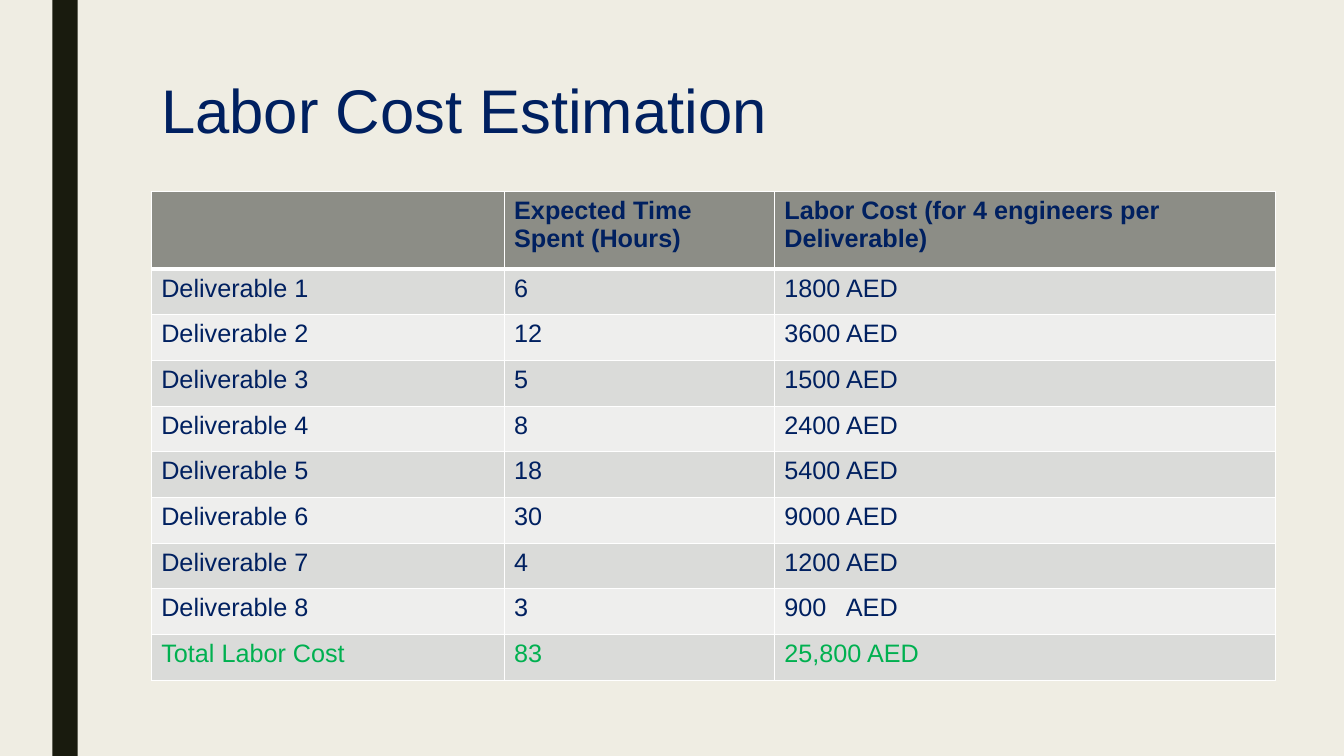
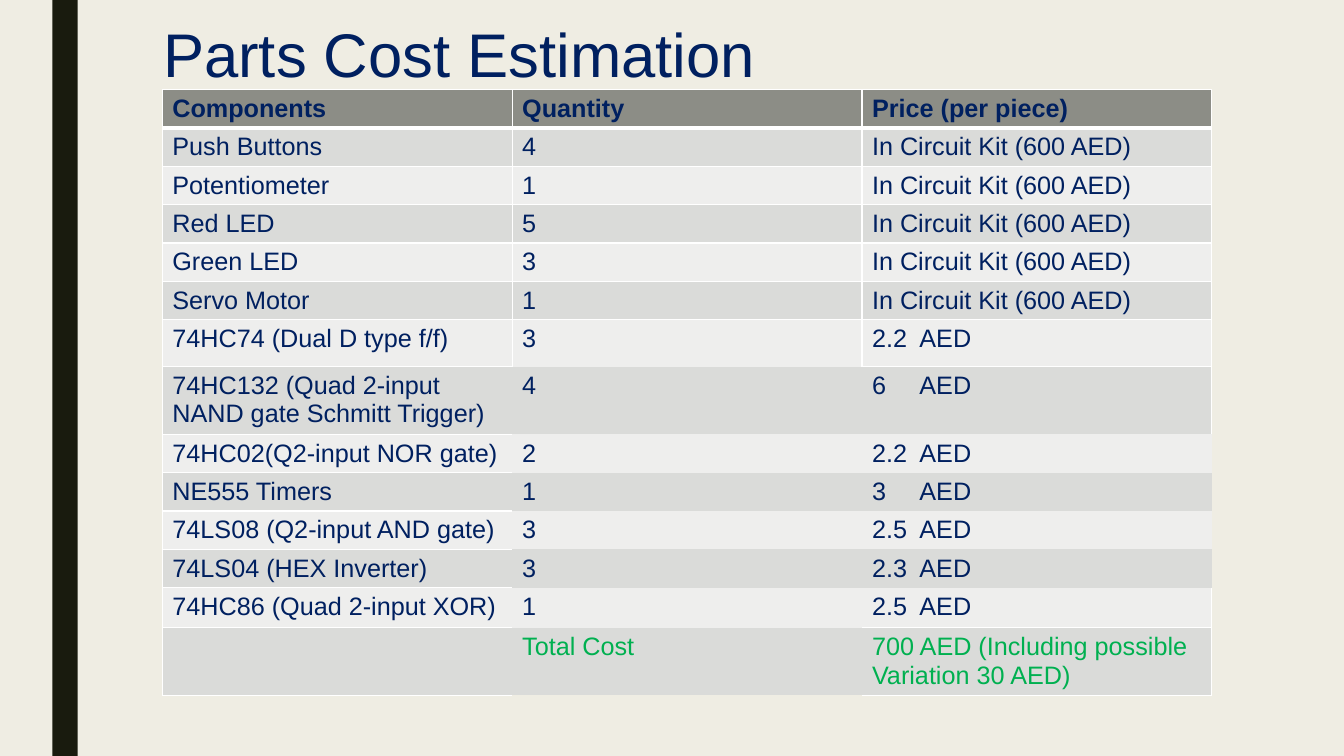
"""Build two cost estimation slides, each with a title and a table."""
from dataclasses import dataclass

from lxml.etree import SubElement
from pptx import Presentation
from pptx.dml.color import RGBColor
from pptx.enum.shapes import MSO_SHAPE
from pptx.enum.text import MSO_ANCHOR
from pptx.oxml.ns import qn
from pptx.util import Inches, Pt


@dataclass(frozen=True)
class Theme:
    font: str = "Arial"
    title_size: int = 44
    body_size: int = 18
    title_spacing: float = 0.89
    background: str = "EFEDE3"
    band: str = "191B0E"
    text: str = "002060"
    total: str = "00B050"
    header_fill: str = "8C8D86"
    row_fills: tuple = ("DADBD9", "EEEEED")
    border: str = "FFFFFF"
    border_width: int = 1
    header_rule: int = 3
    cell_bottom_margin: float = 0.02


THEME = Theme()
WIDTH, HEIGHT = 13.33, 7.5
KIT = "In Circuit Kit (600 AED)"
ALL_EDGES = "LRTB"

LABOR = {
    "title": "Labor Cost Estimation",
    "title_box": (1.5, 0.75, 10.5, 1.62),
    "table_corner": (1.5, 1.9),
    "columns": (3.5, 2.68, 4.97),
    "row_height": (4.85 - 0.77) / 9,
    "special_heights": {0: 0.77},
    "unit_tab": 0.61,
    "edges": {},
    "rows": [
        ("", "Expected Time Spent (Hours)", "Labor Cost (for 4 engineers per Deliverable)"),
        ("Deliverable 1", "6", "1800 AED"),
        ("Deliverable 2", "12", "3600 AED"),
        ("Deliverable 3", "5", "1500 AED"),
        ("Deliverable 4", "8", "2400 AED"),
        ("Deliverable 5", "18", "5400 AED"),
        ("Deliverable 6", "30", "9000 AED"),
        ("Deliverable 7", "4", "1200 AED"),
        ("Deliverable 8", "3", "900\tAED"),
        ("Total Labor Cost", "83", "25,800 AED"),
    ],
}

OPEN_ROWS = range(7, 14)
PARTS = {
    "title": "Parts Cost Estimation",
    "title_box": (1.52, 0.2, 10.5, 0.88),
    "table_corner": (1.61, 0.89),
    "columns": (3.47, 3.47, 3.47),
    "row_height": 0.38,
    "special_heights": {6: 0.47, 7: 0.66, 12: 0.4, 13: 0.66},
    "unit_tab": 0.47,
    "edges": {
        **{(row, 0): "LTB" for row in OPEN_ROWS},
        **{(row, column): "" for row in OPEN_ROWS for column in (1, 2)},
        (6, 1): "LRT",
        (7, 2): "RT",
        (12, 2): "RB",
        (13, 2): "RTB",
    },
    "rows": [
        ("Components", "Quantity", "Price (per piece)"),
        ("Push Buttons", "4", KIT),
        ("Potentiometer", "1", KIT),
        ("Red LED", "5", KIT),
        ("Green LED", "3", KIT),
        ("Servo Motor", "1", KIT),
        ("74HC74 (Dual D type f/f)", "3", "2.2\tAED"),
        ("74HC132 (Quad 2-input NAND gate Schmitt Trigger)", "4", "6\tAED"),
        ("74HC02(Q2-input NOR gate)", "2", "2.2\tAED"),
        ("NE555 Timers", "1", "3\tAED"),
        ("74LS08 (Q2-input AND gate)", "3", "2.5\tAED"),
        ("74LS04 (HEX Inverter)", "3", "2.3\tAED"),
        ("74HC86 (Quad 2-input XOR)", "1", "2.5\tAED"),
        ("", "Total Cost", "700 AED (Including possible Variation 30 AED)"),
    ],
}


def paint(fill, color):
    fill.solid()
    fill.fore_color.rgb = RGBColor.from_string(color)


def style_text(paragraph, size, color, bold=False):
    paragraph.font.size = Pt(size)
    for run in paragraph.runs:
        run.font.name = THEME.font
        run.font.size = Pt(size)
        run.font.bold = bold
        run.font.color.rgb = RGBColor.from_string(color)


def add_band(slide):
    band = slide.shapes.add_shape(
        MSO_SHAPE.RECTANGLE, Inches(0.52), 0, Inches(0.25), Inches(HEIGHT))
    band.shadow.inherit = False
    paint(band.fill, THEME.band)
    band.line.fill.background()


def add_title(slide, text, box):
    text_frame = slide.shapes.add_textbox(*map(Inches, box)).text_frame
    text_frame.word_wrap = True
    text_frame.vertical_anchor = MSO_ANCHOR.TOP
    text_frame.text = text
    paragraph = text_frame.paragraphs[0]
    paragraph.line_spacing = THEME.title_spacing
    style_text(paragraph, THEME.title_size, THEME.text)


def set_borders(cell, edges, bottom_width):
    properties = cell._tc.get_or_add_tcPr()
    for edge in ALL_EDGES:
        width = bottom_width if edge == "B" else THEME.border_width
        line = SubElement(properties, qn(f"a:ln{edge}"), w=str(Pt(width)))
        if edge in edges:
            color = SubElement(SubElement(line, qn("a:solidFill")), qn("a:srgbClr"))
            color.set("val", THEME.border)
        else:
            SubElement(line, qn("a:noFill"))


def add_tab_stop(paragraph, position):
    stops = paragraph._p.get_or_add_pPr().makeelement(qn("a:tabLst"))
    SubElement(stops, qn("a:tab"), pos=str(Inches(position)), algn="l")
    paragraph._p.get_or_add_pPr().insert(0, stops)


def add_cost_table(slide, content):
    rows, columns = content["rows"], content["columns"]
    heights = [content["special_heights"].get(index, content["row_height"])
               for index in range(len(rows))]
    left, top = content["table_corner"]
    table = slide.shapes.add_table(
        len(rows), len(columns), Inches(left), Inches(top),
        Inches(sum(columns)), Inches(sum(heights))).table
    for column, width in zip(table.columns, columns):
        column.width = Inches(width)
    for row_index, (row, height) in enumerate(zip(rows, heights)):
        table.rows[row_index].height = Inches(height)
        is_header = row_index == 0
        is_total = row_index == len(rows) - 1
        fill = THEME.header_fill if is_header else THEME.row_fills[(row_index - 1) % 2]
        bottom_width = THEME.header_rule if is_header else THEME.border_width
        for column_index, text in enumerate(row):
            cell = table.cell(row_index, column_index)
            edges = content["edges"].get((row_index, column_index), ALL_EDGES)
            set_borders(cell, edges, bottom_width)
            paint(cell.fill, fill)
            cell.margin_bottom = Inches(THEME.cell_bottom_margin)
            cell.text_frame.text = text
            paragraph = cell.text_frame.paragraphs[0]
            style_text(paragraph, THEME.body_size,
                       THEME.total if is_total else THEME.text, is_header)
            if "\t" in text:
                add_tab_stop(paragraph, content["unit_tab"])


def main():
    presentation = Presentation()
    presentation.slide_width = Inches(WIDTH)
    presentation.slide_height = Inches(HEIGHT)
    paint(presentation.slide_master.background.fill, THEME.background)
    for content in (LABOR, PARTS):
        slide = presentation.slides.add_slide(presentation.slide_layouts[6])
        add_band(slide)
        add_title(slide, content["title"], content["title_box"])
        add_cost_table(slide, content)
    presentation.save("out.pptx")


if __name__ == "__main__":
    main()
